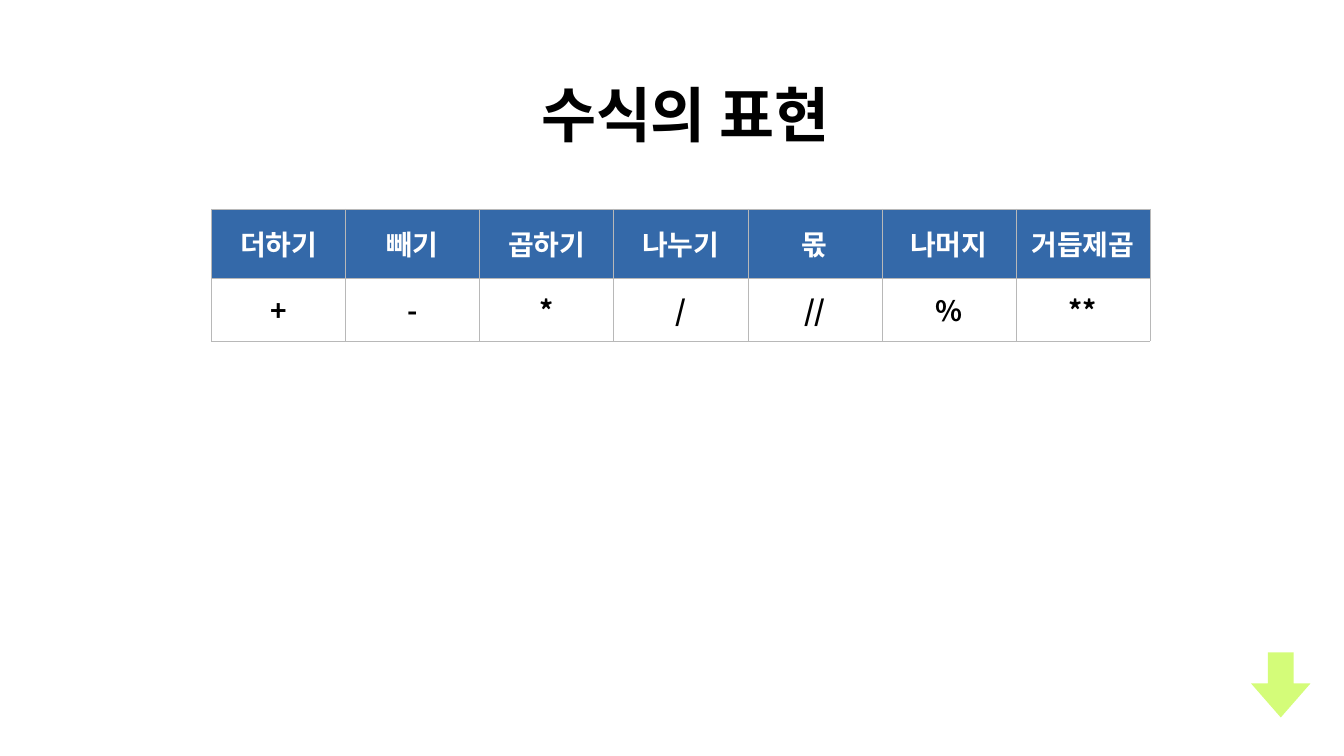
from lxml.etree import SubElement
from pptx import Presentation
from pptx.dml.color import RGBColor
from pptx.enum.shapes import MSO_SHAPE
from pptx.enum.text import MSO_ANCHOR, PP_ALIGN
from pptx.oxml.ns import qn
from pptx.util import Inches, Pt

# Content
TITLE = "수식의 표현"
OPERATIONS = [
    ("더하기", "+"), ("빼기", "-"), ("곱하기", "*"), ("나누기", "/"),
    ("몫", "//"), ("나머지", "%"), ("거듭제곱", "**"),
]
# Per table row: height, fill, font, text colour
ROW_STYLES = [
    (1.37, "3469A9", "Arial", "FFFFFF"),
    (1.25, "FFFFFF", "Noto Sans CJK KR", "000000"),
]
COL_WIDTH = 2.66
INSET = Inches(0.06)


def rgb(value):
    return RGBColor.from_string(value)


def fill(target, color):
    target.fill.solid()
    target.fill.fore_color.rgb = rgb(color)


def write(tf, text, size, font, color):
    tf.text = text
    p = tf.paragraphs[0]
    p.alignment = PP_ALIGN.CENTER
    p.font.size, p.font.name, p.font.bold = Pt(size), font, True
    p.font.color.rgb = rgb(color)


def set_insets(target):
    target.margin_left = target.margin_right = INSET
    target.margin_top = target.margin_bottom = INSET


def add_borders(cell, color, width):
    tc_pr = cell._tc.get_or_add_tcPr()
    for i, side in enumerate(("lnL", "lnR", "lnT", "lnB")):
        ln = tc_pr.makeelement(qn(f"a:{side}"), {"w": str(Pt(width))})
        solid = SubElement(ln, qn("a:solidFill"))
        SubElement(solid, qn("a:srgbClr"), val=color)
        tc_pr.insert(i, ln)  # borders come before the cell fill


prs = Presentation()
prs.slide_width, prs.slide_height = Inches(26.67), Inches(15)
s = prs.slides.add_slide(prs.slide_layouts[5])

# Operator table
table = s.shapes.add_table(
    len(ROW_STYLES), len(OPERATIONS), Inches(4.2), Inches(4.15),
    Inches(COL_WIDTH * len(OPERATIONS)), Inches(sum(r[0] for r in ROW_STYLES)),
).table
for column in table.columns:
    column.width = Inches(COL_WIDTH)
for r, (height, background, font, color) in enumerate(ROW_STYLES):
    table.rows[r].height = Inches(height)
    for c, operation in enumerate(OPERATIONS):
        cell = table.cell(r, c)
        write(cell.text_frame, operation[r], 40, font, color)
        cell.vertical_anchor = MSO_ANCHOR.MIDDLE
        set_insets(cell)
        fill(cell, background)
        add_borders(cell, "B8B8B8", 1)

# Title
title = s.shapes.title
title.left, title.top = Inches(10.32), Inches(0.58)
title.width, title.height = Inches(6.56), Inches(2.44)
fill(title, "FFFFFF")
tf = title.text_frame
tf.word_wrap = True
tf.vertical_anchor = MSO_ANCHOR.BOTTOM
set_insets(tf)
write(tf, TITLE, 85.5, "Arial", "000000")

# Arrow pointing down
arrow = s.shapes.add_shape(
    MSO_SHAPE.RIGHT_ARROW, Inches(24.77), Inches(13), Inches(1.29), Inches(1.18))
arrow.rotation = 90
arrow.adjustments[0], arrow.adjustments[1] = 0.435, 0.572
arrow.shadow.inherit = False
arrow.line.fill.background()
fill(arrow, "D4FC79")

prs.save("out.pptx")
